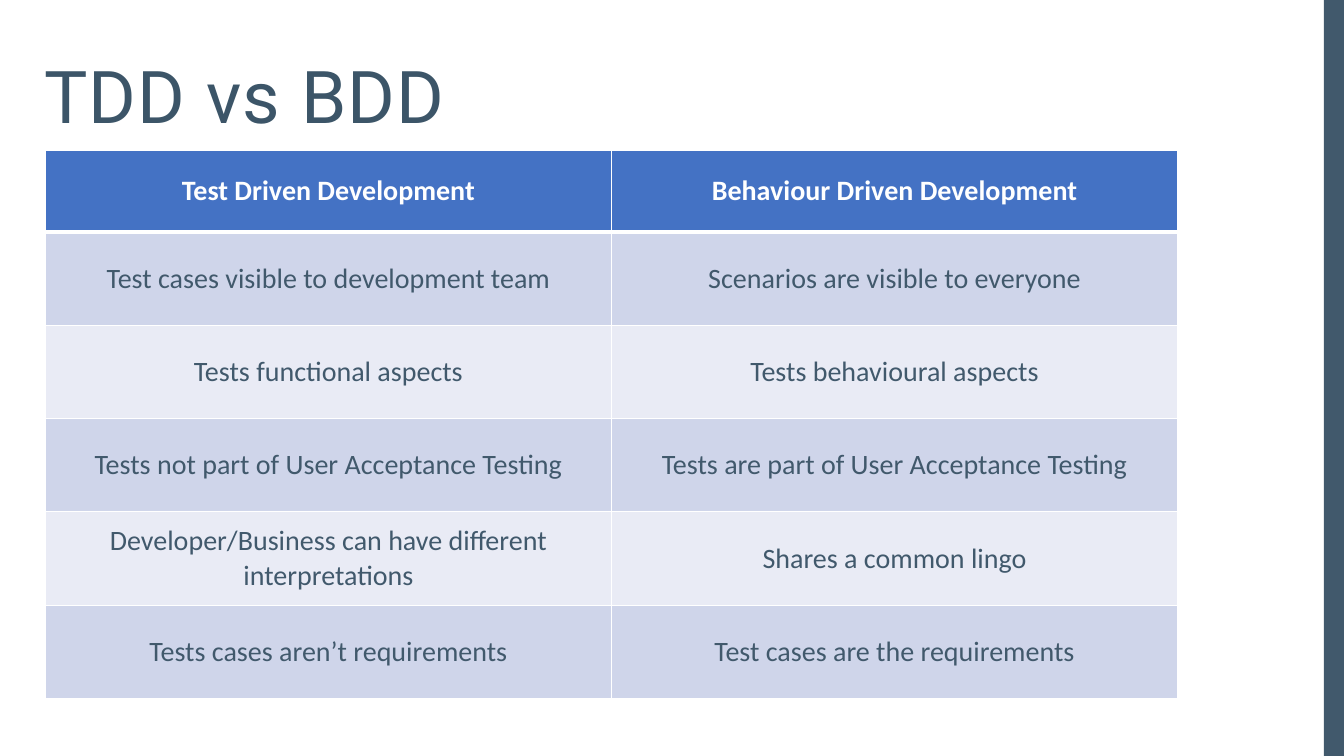
from pptx import Presentation
from pptx import util as u
from pptx.dml.color import RGBColor
from pptx.enum import shapes, text
from pptx.oxml import parse_xml
from pptx.oxml.ns import nsdecls

SLATE = RGBColor(0x41, 0x59, 0x6C)
INK = RGBColor(0x3C, 0x55, 0x68)
BLUE = RGBColor(0x44, 0x72, 0xC4)
WHITE = RGBColor(0xFF, 0xFF, 0xFF)
BANDS = RGBColor(0xE9, 0xEB, 0xF5), RGBColor(0xCF, 0xD5, 0xEA)

TITLE = {"size": u.Pt(52), "name": "Roboto"}
HEAD = {"size": u.Pt(20), "name": "Calibri", "bold": True}
BODY = HEAD | {"bold": False}
ROWS = [
    ("Test Driven Development", "Behaviour Driven Development"),
    ("Test cases visible to development team", "Scenarios are visible to everyone"),
    ("Tests functional aspects", "Tests behavioural aspects"),
    ("Tests not part of User Acceptance Testing",
     "Tests are part of User Acceptance Testing"),
    ("Developer/Business can have different interpretations",
     "Shares a common lingo"),
    ("Tests cases aren’t requirements", "Test cases are the requirements"),
]


def write(para, words, style, color):
    """Add a run with the given font values and return it."""
    run = para.add_run()
    run.text = words
    for key, value in style.items():
        setattr(run.font, key, value)
    run.font.color.rgb = color
    return run


def draw_bar(slide, box):
    """Draw the dark bar along the slide's edge."""
    bar = slide.shapes.add_shape(shapes.MSO_SHAPE.RECTANGLE, *box)
    bar.shadow.inherit = False
    bar.fill.solid()
    bar.fill.fore_color.rgb = SLATE
    bar.line.fill.background()


def draw_title(slide, box):
    """Place the slide's title."""
    frame = slide.shapes.add_textbox(*box).text_frame
    frame.word_wrap = True
    para = frame.paragraphs[0]
    para.line_spacing = 1.2
    run = write(para, "TDD vs BDD", TITLE, INK)
    run.font._element.set("spc", "100")


def edge(cell, side, points):
    """Add a white border to one side of a cell."""
    cell._tc.get_or_add_tcPr().append(parse_xml(
        f'<a:ln{side} {nsdecls("a")} w="{u.Pt(points)}"><a:solidFill>'
        f'<a:srgbClr val="{WHITE}"/></a:solidFill></a:ln{side}>'))


def draw_table(slide, box):
    """Fill the box with a header row and equal banded rows."""
    left, top, width, height = box
    grid = slide.shapes.add_table(len(ROWS), 2, *box).table
    first = u.Inches(0.81)
    rest = (height - first) // (len(ROWS) - 1)
    for col in grid.columns:
        col.width = width // 2
    for i, words in enumerate(ROWS):
        grid.rows[i].height = rest if i else first
        for j, word in enumerate(words):
            cell = grid.cell(i, j)
            for side in "LRTB":
                thick = (i, side) in ((0, "B"), (1, "T"))
                edge(cell, side, 3 if thick else 1)
            cell.fill.solid()
            cell.fill.fore_color.rgb = BANDS[i % 2] if i else BLUE
            cell.vertical_anchor = text.MSO_ANCHOR.MIDDLE
            para = cell.text_frame.paragraphs[0]
            para.alignment = text.PP_ALIGN.CENTER
            write(para, word, BODY if i else HEAD, SLATE if i else WHITE)


def main():
    """Build and save the slide."""
    deck = Presentation()
    deck.slide_width, deck.slide_height = u.Inches(13.33), u.Inches(7.5)
    slide = deck.slides.add_slide(deck.slide_layouts[6])
    bar = u.Inches(0.2)
    draw_bar(slide, (deck.slide_width - bar, 0, bar, deck.slide_height))
    draw_title(slide, [u.Inches(n) for n in (0.34, 0.28, 9.44, 1.07)])
    draw_table(slide, [u.Inches(n) for n in (0.45, 1.49, 11.23, 5.44)])
    deck.save("out.pptx")


if __name__ == "__main__":
    main()
